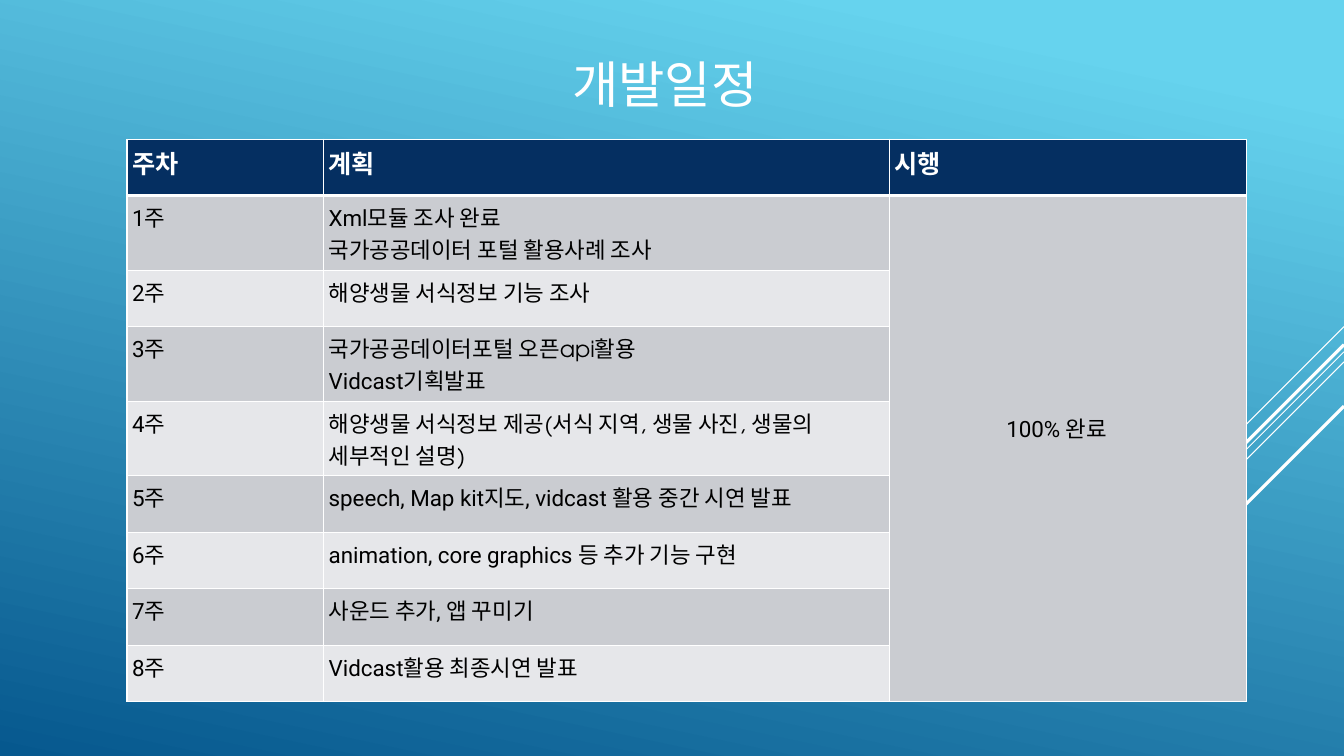
from lxml.etree import SubElement
from pptx import Presentation
from pptx.dml.color import RGBColor
from pptx.enum.shapes import MSO_CONNECTOR as Connector
from pptx.enum.text import MSO_ANCHOR as Anchor, PP_ALIGN as Align
from pptx.oxml.ns import qn
from pptx.util import Inches, Pt

WIDTH, HEIGHT = 13.33, 7.5
MAIN, ALT = "Roboto", "TeX Gyre Adventor"
WHITE, BLACK, NAVY = "FFFFFF", "000000", "052F61"
BANDS = ["CACCD1", "E6E7EA"]
GRADIENT = [(0.1, "66D3EE"), (1, "06588E")]

TITLE = "개발일정"
HEADER = ["주차", "계획", "시행"]
STATUS = "100% 완료"
# One entry per week: paragraphs, each a list of runs; a tuple run is in the second font
PLANS = [
    [["Xml모듈 조사 완료"], ["국가공공데이터 포털 활용사례 조사"]],
    [["해양생물 서식정보 기능 조사"]],
    [["국가공공데이터포털 오픈", ("api",), "활용"], ["Vidcast기획발표"]],
    [["해양생물 서식정보 제공", ("(",), "서식 지역", (", ",), "생물 사진", (", ",),
      "생물의 세부적인 설명", (")",)]],
    [["speech, Map kit지도, vidcast 활용 중간 시연 발표"]],
    [["animation, core graphics 등 추가 기능 구현"]],
    [["사운드 추가, 앱 꾸미기"]],
    [["Vidcast활용 최종시연 발표"]],
]
TABLE_LEFT, TABLE_TOP, ROW_HEIGHT = 1.26, 1.38, 0.56
COLUMNS = [1.95, 5.61, 3.54]
# Diagonals from the right edge: start height, run to the lower left, line width
DIAGONALS = [(3.24, 1, 0.75), (3.49, 3.26, 0.75), (3.59, 2.07, 0.75),
             (3.42, 1.91, 2.25), (4.03, 1.39, 2.25)]


def rgb(value):
    return RGBColor.from_string(value)


def write(frame, paragraphs, align=Align.LEFT, color=BLACK, **style):
    """Fill a text frame with paragraphs of runs."""
    for index, runs in enumerate(paragraphs):
        para = frame.add_paragraph() if index else frame.paragraphs[0]
        para.alignment = align
        for text in runs:
            span = para.add_run()
            span.text = text[0] if isinstance(text, tuple) else text
            font = ALT if isinstance(text, tuple) else MAIN
            for key, value in {"name": font, **style}.items():
                setattr(span.font, key, value)
            span.font.color.rgb = rgb(color)


def set_margins(holder, **extra):
    for side in ("left", "top", "right", "bottom"):
        setattr(holder, "margin_" + side, Inches(0.05 + extra.get(side, 0)))


def dress_cell(cell, fill, bottom=1):
    """Set white borders, fill and margins."""
    properties = cell._tc.get_or_add_tcPr()
    for tag, width in {"lnL": 1, "lnR": 1, "lnT": 1, "lnB": bottom}.items():
        border = SubElement(properties, qn("a:" + tag), w=str(Pt(width)))
        SubElement(SubElement(border, qn("a:solidFill")), qn("a:srgbClr"), val=WHITE)
    cell.fill.solid()
    cell.fill.fore_color.rgb = rgb(fill)
    set_margins(cell)


def add_background(page):
    fill = page.background.fill
    fill.gradient()
    fill.gradient_angle = 360 - 102
    for stop, (position, color) in zip(fill.gradient_stops, GRADIENT):
        stop.position = position
        stop.color.rgb = rgb(color)


def add_title(page):
    title = page.shapes.title
    box = {"left": 1.93, "top": 0, "width": 9.33, "height": 1.65}
    for key, value in box.items():
        setattr(title, key, Inches(value))
    frame = title.text_frame
    frame.vertical_anchor = Anchor.MIDDLE
    set_margins(frame)
    write(frame, [[TITLE]], Align.CENTER, WHITE, size=Pt(36))


def add_diagonals(page):
    for top, run, width in DIAGONALS:
        ends = [Inches(value) for value in (WIDTH, top, WIDTH - run, top + run)]
        line = page.shapes.add_connector(Connector.STRAIGHT, *ends)
        line.line.color.rgb = rgb(WHITE)
        line.line.width = Pt(width)
        SubElement(line._element.spPr, qn("a:effectLst"))


def add_schedule(page):
    rows = len(PLANS) + 1
    table = page.shapes.add_table(
        rows, len(COLUMNS), Inches(TABLE_LEFT), Inches(TABLE_TOP),
        Inches(sum(COLUMNS)), Inches(rows * ROW_HEIGHT)).table
    for column, width in zip(table.columns, COLUMNS):
        column.width = Inches(width)
    for row in table.rows:
        row.height = Inches(ROW_HEIGHT)

    for column, label in enumerate(HEADER):
        cell = table.cell(0, column)
        dress_cell(cell, NAVY, bottom=3)
        write(cell.text_frame, [[label]], color=WHITE, size=Pt(18), bold=True)
    for week, plan in enumerate(PLANS, 1):
        for column in range(len(COLUMNS)):
            dress_cell(table.cell(week, column), BANDS[(week - 1) % 2])
        for column, content in enumerate([[[f"{week}주"]], plan]):
            write(table.cell(week, column).text_frame, content, size=Pt(16), bold=False)

    status = table.cell(1, 2)
    status.merge(table.cell(rows - 1, 2))
    status.vertical_anchor = Anchor.MIDDLE
    set_margins(status, right=0.22, bottom=0.42)
    write(status.text_frame, [[STATUS]], Align.CENTER, size=Pt(16), bold=False)


def main():
    deck = Presentation()
    deck.slide_width, deck.slide_height = Inches(WIDTH), Inches(HEIGHT)
    page = deck.slides.add_slide(deck.slide_layouts[5])
    add_background(page)
    add_diagonals(page)
    add_title(page)
    add_schedule(page)
    deck.save("out.pptx")


if __name__ == "__main__":
    main()
